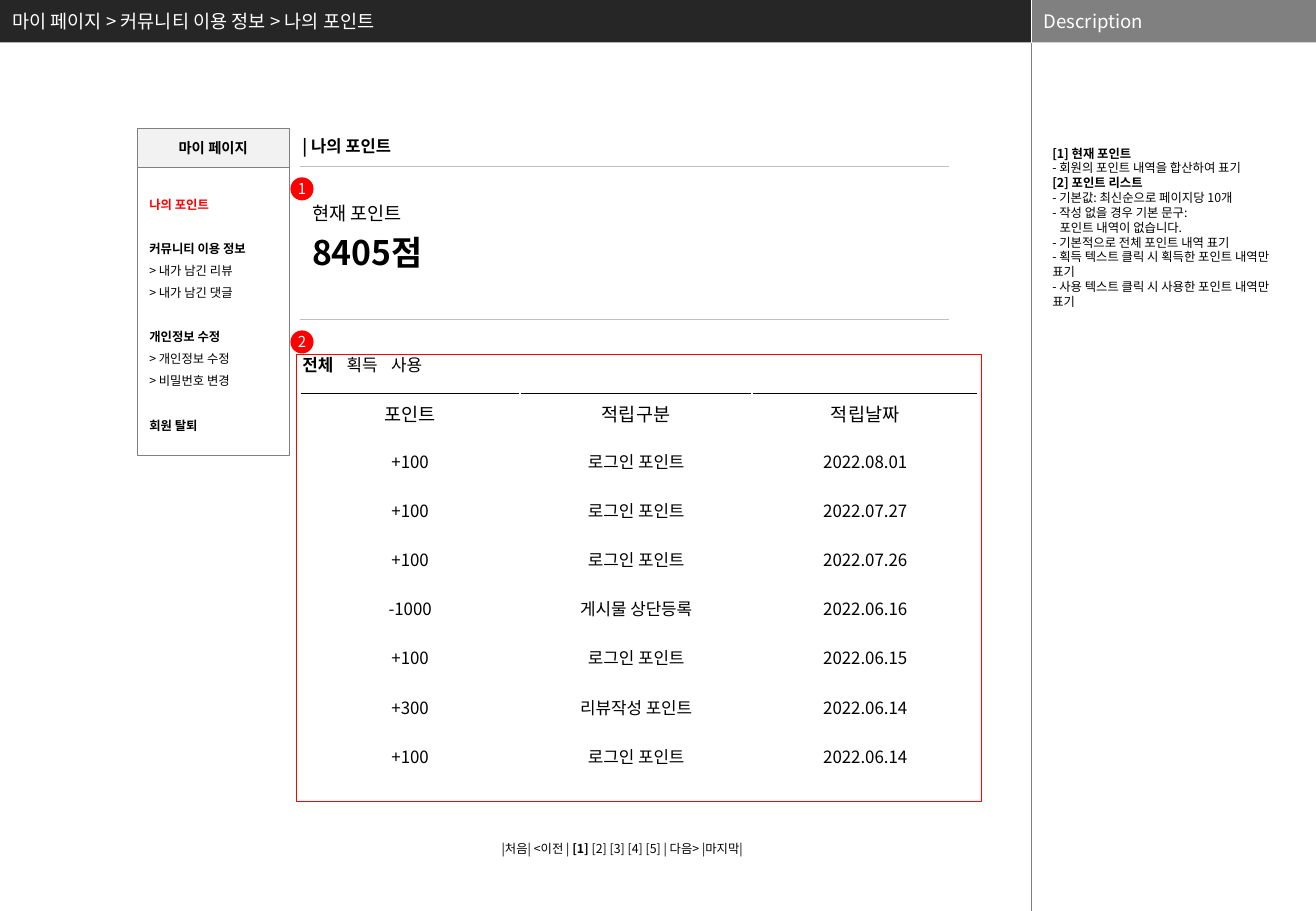
from lxml import etree
from pptx import Presentation
from pptx.dml.color import RGBColor
from pptx.enum.shapes import MSO_CONNECTOR, MSO_SHAPE
from pptx.enum.text import MSO_ANCHOR, PP_ALIGN
from pptx.oxml.ns import qn
from pptx.util import Inches, Pt

LEFT, CENTER = PP_ALIGN.LEFT, PP_ALIGN.CENTER
TOP, MIDDLE = MSO_ANCHOR.TOP, MSO_ANCHOR.MIDDLE
RECT, OVAL = MSO_SHAPE.RECTANGLE, MSO_SHAPE.OVAL
STRAIGHT = MSO_CONNECTOR.STRAIGHT

FONT = "Noto Sans CJK KR"
BLACK = RGBColor(0x00, 0x00, 0x00)
WHITE = RGBColor(0xFF, 0xFF, 0xFF)
DARK = RGBColor(0x26, 0x26, 0x26)
GRAY = RGBColor(0x80, 0x80, 0x80)
RULE = RGBColor(0xBF, 0xBF, 0xBF)
PALE = RGBColor(0xF2, 0xF2, 0xF2)
RED = RGBColor(0xFF, 0x00, 0x00)

SMALL = 7.3
SPLIT = 8.49  # left edge of the description column
BAR = 0.35

MENU = [
    ["나의 포인트"],
    ["커뮤니티 이용 정보", "> 내가 남긴 리뷰", "> 내가 남긴 댓글"],
    ["개인정보 수정", "> 개인정보 수정", "> 비밀번호 변경"],
    ["회원 탈퇴"],
]
NOTES = [
    "[1] 현재 포인트",
    "- 회원의 포인트 내역을 합산하여 표기",
    "[2] 포인트 리스트",
    "- 기본값: 최신순으로 페이지당 10개",
    "- 작성 없을 경우 기본 문구:",
    "포인트 내역이 없습니다.",
    "- 기본적으로 전체 포인트 내역 표기",
    "- 획득 텍스트 클릭 시 획득한 포인트 내역만 표기",
    "- 사용 텍스트 클릭 시 사용한 포인트 내역만 표기",
]
POINTS = [
    ("포인트", "적립구분", "적립날짜"),
    ("+100", "로그인 포인트", "2022.08.01"),
    ("+100", "로그인 포인트", "2022.07.27"),
    ("+100", "로그인 포인트", "2022.07.26"),
    ("-1000", "게시물 상단등록", "2022.06.16"),
    ("+100", "로그인 포인트", "2022.06.15"),
    ("+300", "리뷰작성 포인트", "2022.06.14"),
    ("+100", "로그인 포인트", "2022.06.14"),
]


def style(para, size, color=BLACK, bold=False, align=LEFT):
    para.alignment = align
    font = para.font
    font.name, font.size, font.bold = FONT, Pt(size), bold
    etree.SubElement(font._rPr, qn("a:ea"), typeface=FONT)
    font.color.rgb = color


def add_para(frame, text, size, pitch=1.2, **look):
    """Add one paragraph with a fixed line pitch, given in font sizes."""
    para = frame.paragraphs[0]
    if para.runs:
        para = frame.add_paragraph()
    para.add_run().text = text
    para.line_spacing = Pt(round(size * pitch, 1))
    style(para, size, **look)
    return para


def add_box(slide, x, y, w, h, wrap=True):
    frame = slide.shapes.add_textbox(
        Inches(x), Inches(y), Inches(w), Inches(h)).text_frame
    frame.word_wrap = wrap
    return frame


def add_label(slide, x, y, w, h, text, size, bold=False):
    add_para(add_box(slide, x, y, w, h), text, size, bold=bold)


def add_block(slide, kind, x, y, w, h, fill=None, line=None, width=0.5):
    shape = slide.shapes.add_shape(
        kind, Inches(x), Inches(y), Inches(w), Inches(h))
    shape.shadow.inherit = False
    if fill is None:
        shape.fill.background()
    else:
        shape.fill.solid()
        shape.fill.fore_color.rgb = fill
    if line is None:
        shape.line.fill.background()
    else:
        shape.line.color.rgb = line
        shape.line.width = Pt(width)
    shape.text_frame.vertical_anchor = MIDDLE
    return shape


def put_text(shape, text, size, **look):
    shape.text_frame.text = text
    style(shape.text_frame.paragraphs[0], size, **look)


def add_rule(slide, x1, y1, x2, y2, color, width):
    rule = slide.shapes.add_connector(
        STRAIGHT, Inches(x1), Inches(y1), Inches(x2), Inches(y2))
    rule.line.color.rgb = color
    rule.line.width = Pt(width)
    etree.SubElement(rule._element.spPr, qn("a:effectLst"))


def add_badge(slide, y, text):
    badge = add_block(slide, OVAL, 2.39, y, 0.19, 0.19, fill=RED)
    frame = badge.text_frame
    frame.margin_left = frame.margin_right = 0
    frame.margin_top = frame.margin_bottom = 0
    frame.word_wrap = False
    put_text(badge, text, 8.9, color=WHITE, align=CENTER)


def add_header(slide):
    title = slide.shapes.title
    title.left = title.top = 0
    title.width, title.height = Inches(SPLIT), Inches(BAR)
    title.fill.solid()
    title.fill.fore_color.rgb = DARK
    title.text_frame.vertical_anchor = MIDDLE
    put_text(title, "마이 페이지 > 커뮤니티 이용 정보 > 나의 포인트", 11, color=WHITE)
    side = add_block(slide, RECT, SPLIT, 0, 2.34, BAR, fill=GRAY)
    put_text(side, "Description", 11, color=WHITE)
    add_rule(slide, SPLIT, 0, SPLIT, BAR, WHITE, 0.25)
    add_rule(slide, SPLIT, BAR, SPLIT, 7.5, GRAY, 0.25)


def add_notes(slide):
    frame = add_box(slide, 8.63, 1.2, 1.9, 5.69)
    frame.margin_left = frame.margin_right = Inches(0.03)
    frame.margin_top = frame.margin_bottom = 0
    for text in NOTES:
        para = add_para(frame, text, SMALL, bold=text.startswith("["))
        if text[0] not in "[-":
            para._p.get_or_add_pPr().set("marL", str(Inches(0.06)))


def add_menu(slide):
    body = add_block(slide, RECT, 1.13, 1.37, 1.25, 2.38, line=GRAY)
    for i, group in enumerate(MENU):
        for j, text in enumerate(group):
            para = add_para(body.text_frame, text, SMALL, pitch=1.8,
                            bold=j == 0, color=BLACK if i else RED)
            if i and j == 0:
                para.space_before = Pt(13.1)
    head = add_block(slide, RECT, 1.13, 1.06, 1.25, 0.32, PALE, GRAY)
    put_text(head, "마이 페이지", 8.5, bold=True, align=CENTER)


def add_edge(cell):
    """Draw black lines above and below a cell."""
    props = cell._tc.get_or_add_tcPr()
    for i, side in enumerate(("a:lnT", "a:lnB")):
        line = etree.Element(qn(side), w=str(Pt(1)))
        fill = etree.SubElement(line, qn("a:solidFill"))
        etree.SubElement(fill, qn("a:srgbClr"), val=str(BLACK))
        props.insert(i, line)


def add_points(slide):
    table = slide.shapes.add_table(
        len(POINTS), 3, Inches(2.47), Inches(3.24),
        Inches(5.58), Inches(3.24)).table
    table.first_row = table.horz_banding = False
    for col, width in zip(table.columns, (1.81, 1.91, 1.86)):
        col.width = Inches(width)
    for i, values in enumerate(POINTS):
        for j, text in enumerate(values):
            cell = table.cell(i, j)
            cell.fill.background()
            cell.vertical_anchor = TOP
            put_text(cell, text, 10 if i else 11, align=CENTER)
            if i == 0:
                add_edge(cell)


def add_pager(slide):
    frame = add_box(slide, 4.03, 6.88, 2.46, 0.22, wrap=False)
    para = add_para(frame, "|처음| <이전 | ", SMALL)
    page = para.add_run()
    page.text = "[1]"
    page.font.bold = True
    para.add_run().text = " [2] [3] [4] [5] | 다음> |마지막|"


def main():
    deck = Presentation()
    deck.slide_width, deck.slide_height = Inches(10.83), Inches(7.5)
    slide = deck.slides.add_slide(deck.slide_layouts[5])
    add_header(slide)
    add_notes(slide)
    add_menu(slide)
    add_label(slide, 2.39, 1.07, 2.24, 0.27, "| 나의 포인트", 9.8, bold=True)
    add_label(slide, 2.47, 1.61, 2.67, 0.29, "현재 포인트", 11)
    add_label(slide, 2.47, 1.86, 2.67, 0.44, "8405점", 20, bold=True)
    for y in (1.37, 2.63):
        add_rule(slide, 2.47, y, 7.81, y, RULE, 0.75)
    for i, text in enumerate(("전체", "획득", "사용")):
        add_label(slide, 2.39 + 0.365 * i, 2.87, 0.71, 0.27, text, 10,
                  bold=i == 0)
    add_points(slide)
    add_pager(slide)
    add_block(slide, RECT, 2.44, 2.92, 5.64, 3.68, line=RED, width=0.75)
    add_badge(slide, 1.46, "1")
    add_badge(slide, 2.72, "2")
    deck.save("out.pptx")


if __name__ == "__main__":
    main()
